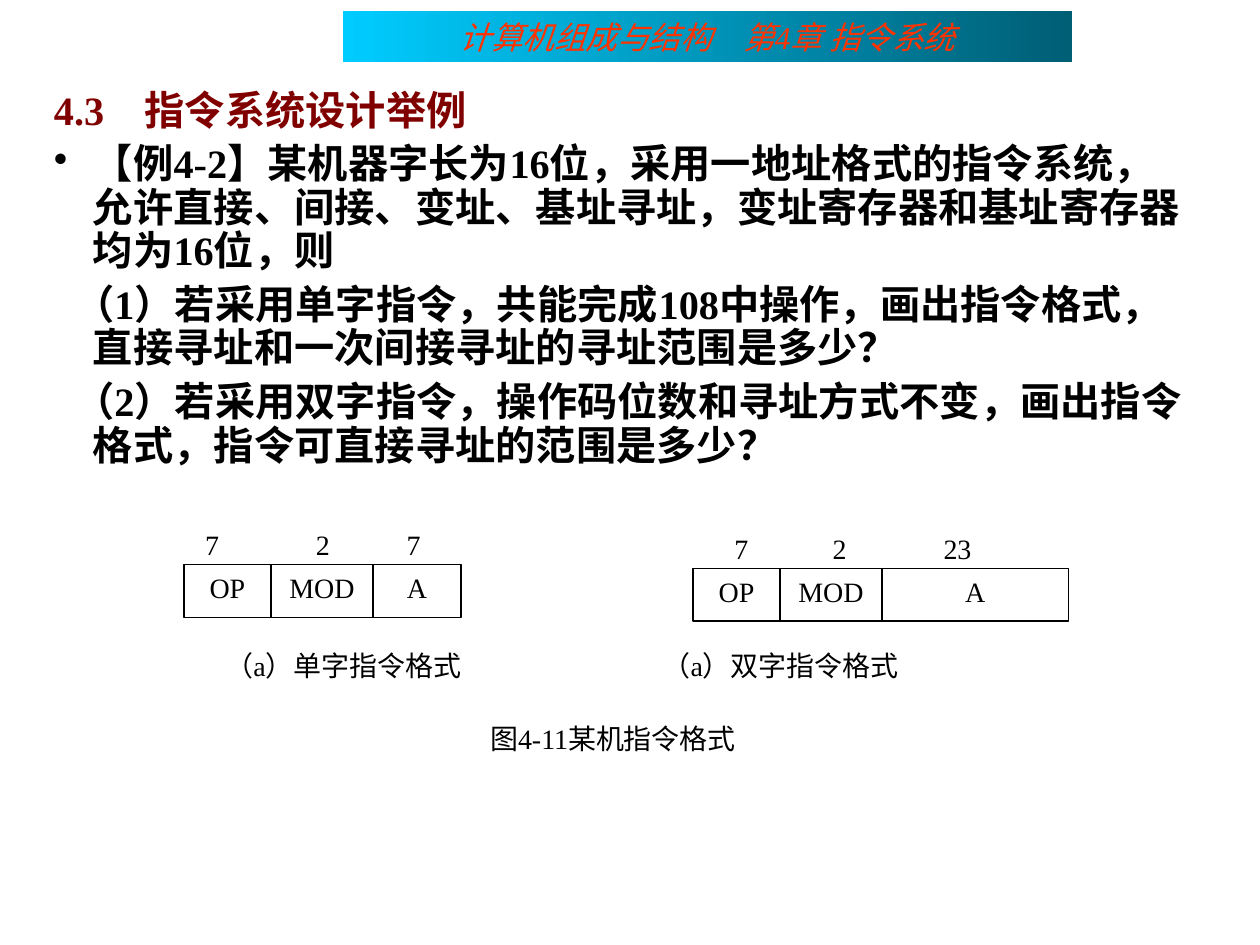
"""Builds the slide on instruction system design, example 4-2."""
from dataclasses import dataclass
from itertools import accumulate

from lxml import etree
from pptx import Presentation
from pptx.dml.color import RGBColor
from pptx.enum.shapes import MSO_SHAPE
from pptx.enum.text import PP_ALIGN
from pptx.oxml.ns import qn
from pptx.util import Inches, Pt

CENTER, LEFT = PP_ALIGN.CENTER, PP_ALIGN.LEFT
RECTANGLE = MSO_SHAPE.RECTANGLE


@dataclass(frozen=True)
class Theme:
    font: str = "Times New Roman"
    ink: str = "000000"
    paper: str = "FFFFFF"
    heading: str = "800000"
    banner_text: str = "FF3300"
    banner_start: str = "00CCFF"
    banner_end: str = "005E75"
    banner_size: int = 18
    body_size: int = 23
    label_size: int = 16
    line_width: float = 0.75


class SlideBuilder:
    """Draws on one slide with a grid of 100 columns and 75 rows."""

    def __init__(self, deck, theme):
        self.theme = theme
        self.page = deck.slides.add_slide(deck.slide_layouts[6])
        self.column = deck.slide_width / 100
        self.row = deck.slide_height / 75

    def area(self, left, top, width, height):
        return (round(left * self.column), round(top * self.row),
                round(width * self.column), round(height * self.row))

    def style(self, paragraph, size, color, align=LEFT, bold=False, italic=False):
        paragraph.alignment = align
        font = paragraph.font
        font.name, font.size = self.theme.font, Pt(size)
        font.bold, font.italic = bold, italic
        font.color.rgb = RGBColor.from_string(color)

    def rectangle(self, *place):
        box = self.page.shapes.add_shape(RECTANGLE, *self.area(*place))
        box.shadow.inherit = False
        box.text_frame.word_wrap = True
        box.text_frame.vertical_anchor = None
        return box

    def banner(self, text, *place):
        box = self.rectangle(*place)
        box.line.fill.background()
        box.fill.gradient()
        box.fill.gradient_angle = 0
        colors = self.theme.banner_start, self.theme.banner_end
        for stop, color in zip(box.fill.gradient_stops, colors):
            stop.color.rgb = RGBColor.from_string(color)
        paragraph = box.text_frame.paragraphs[0]
        paragraph.text = text
        self.style(paragraph, self.theme.banner_size, self.theme.banner_text,
                   CENTER, italic=True)

    def cell(self, text, *place):
        box = self.rectangle(*place)
        box.fill.solid()
        box.fill.fore_color.rgb = RGBColor.from_string(self.theme.paper)
        box.line.color.rgb = RGBColor.from_string(self.theme.ink)
        box.line.width = Pt(self.theme.line_width)
        paragraph = box.text_frame.paragraphs[0]
        paragraph.text = text
        self.style(paragraph, self.theme.label_size, self.theme.ink, CENTER)

    def text_frame(self, *place):
        frame = self.page.shapes.add_textbox(*self.area(*place)).text_frame
        frame.word_wrap = True
        return frame

    def label(self, text, *place, align=LEFT, tabs=()):
        paragraph = self.text_frame(*place).paragraphs[0]
        paragraph.text = text
        if tabs:
            stops = etree.SubElement(paragraph._p.get_or_add_pPr(), qn("a:tabLst"))
            for tab in tabs:
                etree.SubElement(stops, qn("a:tab"),
                                 pos=str(round(tab * self.column)), algn="l")
        self.style(paragraph, self.theme.label_size, self.theme.ink, align)

    def body(self, entries, *place):
        frame = self.text_frame(*place)
        for number, (text, color, indent, bullet) in enumerate(entries):
            paragraph = frame.add_paragraph() if number else frame.paragraphs[0]
            paragraph.text = text
            properties = paragraph._p.get_or_add_pPr()
            properties.set("marL", str(Inches(0.31)))
            properties.set("indent", str(Inches(indent)))
            if bullet:
                etree.SubElement(properties, qn("a:buChar"), char=bullet)
            paragraph.line_spacing = 0.9
            if number:
                paragraph.space_before = Pt(5.8)
            self.style(paragraph, self.theme.body_size, color, bold=True)

    def instruction_format(self, left, top, widths, bits, tabs):
        """Draws the named fields in a row with their bit counts above."""
        self.label(bits, left + 0.7, top - 3.4, sum(widths), 4.4, tabs=tabs)
        offsets = accumulate(widths, initial=left)
        for name, start, width in zip(("OP", "MOD", "A"), offsets, widths):
            self.cell(name, start, top, width, 4.2)


def main():
    deck = Presentation()
    deck.slide_width, deck.slide_height = Inches(10), Inches(7.5)
    theme = Theme()
    slide = SlideBuilder(deck, theme)
    slide.banner("计算机组成与结构　第4章 指令系统", 27.2, 0.9, 57.9, 4)
    slide.body([
        ("4.3　指令系统设计举例", theme.heading, -0.31, ""),
        ("【例4-2】某机器字长为16位，采用一地址格式的指令系统，允许直接、间接、变址、"
         "基址寻址，变址寄存器和基址寄存器均为16位，则", theme.ink, -0.31, "•"),
        ("（1）若采用单字指令，共能完成108中操作，画出指令格式，"
         "直接寻址和一次间接寻址的寻址范围是多少？", theme.ink, -0.15, ""),
        ("（2）若采用双字指令，操作码位数和寻址方式不变，画出指令格式，"
         "指令可直接寻址的范围是多少？", theme.ink, -0.15, ""),
    ], 3.3, 6.7, 91.7, 31.6)
    slide.instruction_format(14.6, 44.8, (6.9, 8.1, 7), "7\t2\t7", (8.8, 16))
    slide.instruction_format(55, 45.1, (6.9, 8.1, 14.8), "\t7\t2\t23",
                             (1.6, 9.4, 18.2))
    slide.label("（a）单字指令格式\t（a）双字指令格式", 16.9, 51, 67.8, 4.4,
                tabs=(34.7,))
    slide.label("图4-11某机指令格式", 29.3, 56.8, 38.7, 4.4, align=CENTER)
    deck.save("out.pptx")


if __name__ == "__main__":
    main()
